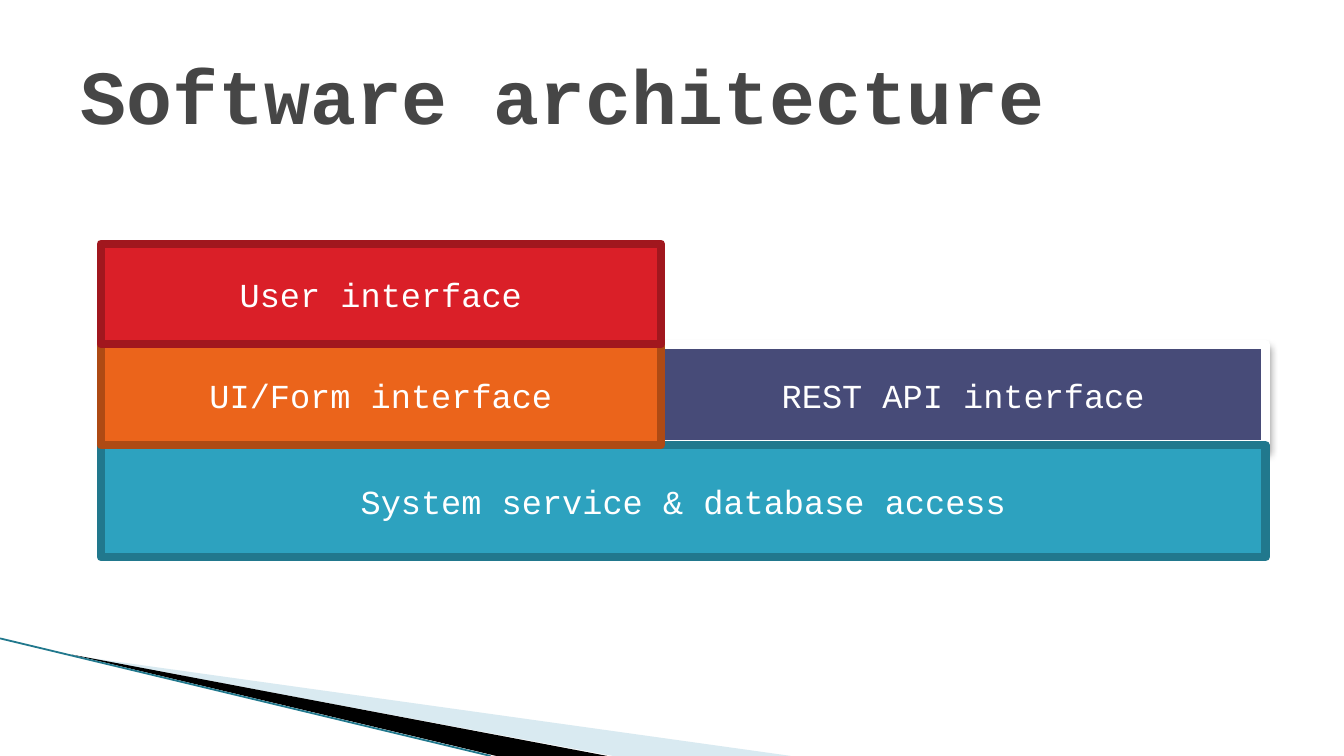
"""Build the software architecture slide on a grid of twelfths of an inch."""
import lxml.etree
import pptx
import pptx.dml.color
import pptx.enum.shapes
import pptx.enum.text
import pptx.oxml.ns
import pptx.util

CELL = pptx.util.Inches(1) // 12
COLUMNS, ROWS = 120, 67.5
LEFT, MIDDLE, RIGHT = 9, 59, 113
TOP, LAYER = 21.75, 9


def color(value):
    return pptx.dml.color.RGBColor.from_string(value)


def grid(cells):
    return round(cells * CELL)


def add_element(parent, tag, **attributes):
    element = lxml.etree.SubElement(parent, pptx.oxml.ns.qn(tag))
    for name, value in attributes.items():
        element.set(name, str(value))
    return element


class SlideBuilder:
    font = "Courier New"

    def __init__(self, slide):
        self.slide = slide

    def place(self, shape, left, top, width, height):
        shape.left, shape.top = grid(left), grid(top)
        shape.width, shape.height = grid(width), grid(height)

    def label(self, shape, text, size, text_color, alignment, bold=False):
        frame = shape.text_frame
        frame.text = text
        frame.word_wrap = True
        frame.vertical_anchor = pptx.enum.text.MSO_ANCHOR.MIDDLE
        paragraph = frame.paragraphs[0]
        paragraph.alignment = alignment
        font = paragraph.runs[0].font
        font.name, font.size, font.bold = self.font, pptx.util.Pt(size), bold
        font.color.rgb = color(text_color)

    def title(self, text):
        shape = self.slide.shapes.title
        self.place(shape, 6, 2.75, 108, 11.25)
        self.label(shape, text, 41, "464646", pptx.enum.text.PP_ALIGN.LEFT, True)

    def block(self, text, left, top, right, height, fill, line, line_width=4.33):
        shape = self.slide.shapes.add_shape(
            pptx.enum.shapes.MSO_SHAPE.RECTANGLE,
            grid(left), grid(top), grid(right - left), grid(height))
        shape.shadow.inherit = False
        shape.fill.solid()
        shape.fill.fore_color.rgb = color(fill)
        shape.line.color.rgb = color(line)
        shape.line.width = pptx.util.Pt(line_width)
        outline = shape._element.spPr.find(pptx.oxml.ns.qn("a:ln"))
        add_element(outline, "a:round")
        self.label(shape, text, 18, "FFFFFF", pptx.enum.text.PP_ALIGN.CENTER)
        return shape

    def drop_shadow(self, shape):
        effects = shape._element.spPr.find(pptx.oxml.ns.qn("a:effectLst"))
        shadow = add_element(
            effects, "a:outerShdw", blurRad=pptx.util.Pt(4) + 0, dist=pptx.util.Pt(3) + 0,
            dir=90 * 60000, rotWithShape=0)
        black = add_element(shadow, "a:srgbClr", val="000000")
        add_element(black, "a:alpha", val=35000)

    def wedge(self, points, fill, opacity=100):
        start, *others = [(grid(x), grid(y)) for x, y in points]
        builder = self.slide.shapes.build_freeform(*start)
        builder.add_line_segments(others, close=True)
        shape = builder.convert_to_shape()
        shape.shadow.inherit = False
        shape.fill.solid()
        shape.fill.fore_color.rgb = color(fill)
        shape.line.fill.background()
        fill_color = shape._element.spPr.find(".//" + pptx.oxml.ns.qn("a:srgbClr"))
        add_element(fill_color, "a:alpha", val=opacity * 1000)

    def line(self, start, end, line_color, width):
        connector = self.slide.shapes.add_connector(
            pptx.enum.shapes.MSO_CONNECTOR.STRAIGHT,
            *[grid(value) for value in (*start, *end)])
        connector.line.color.rgb = color(line_color)
        connector.line.width = pptx.util.Pt(width)
        add_element(connector._element.spPr, "a:effectLst")


def main():
    presentation = pptx.Presentation()
    presentation.slide_width = grid(COLUMNS)
    presentation.slide_height = grid(ROWS)
    slide = presentation.slides.add_slide(presentation.slide_layouts[5])
    builder = SlideBuilder(slide)

    builder.wedge([(6.6, 58.55), (70.6, ROWS), (54.7, ROWS)], "A0CBDC", 40)
    builder.wedge([(6.4, 58.45), (54.2, ROWS), (44.3, ROWS)], "000000")
    builder.line((0, 57), (43.8, ROWS), "21788D", 0.95)

    builder.title("Software architecture")
    interface_top = TOP + LAYER
    service_top = interface_top + LAYER
    rest = builder.block("REST API interface", MIDDLE, interface_top, RIGHT, LAYER,
                         "474B78", "FFFFFF", 5)
    builder.drop_shadow(rest)
    builder.block("System service & database access", LEFT, service_top, RIGHT, 10,
                  "2DA2BF", "21788D")
    builder.block("UI/Form interface", LEFT, interface_top, MIDDLE, LAYER,
                  "EB641B", "AE4A14")
    builder.block("User interface", LEFT, TOP, MIDDLE, LAYER, "DA1F28", "A1171E")
    presentation.save("out.pptx")


if __name__ == "__main__":
    main()
